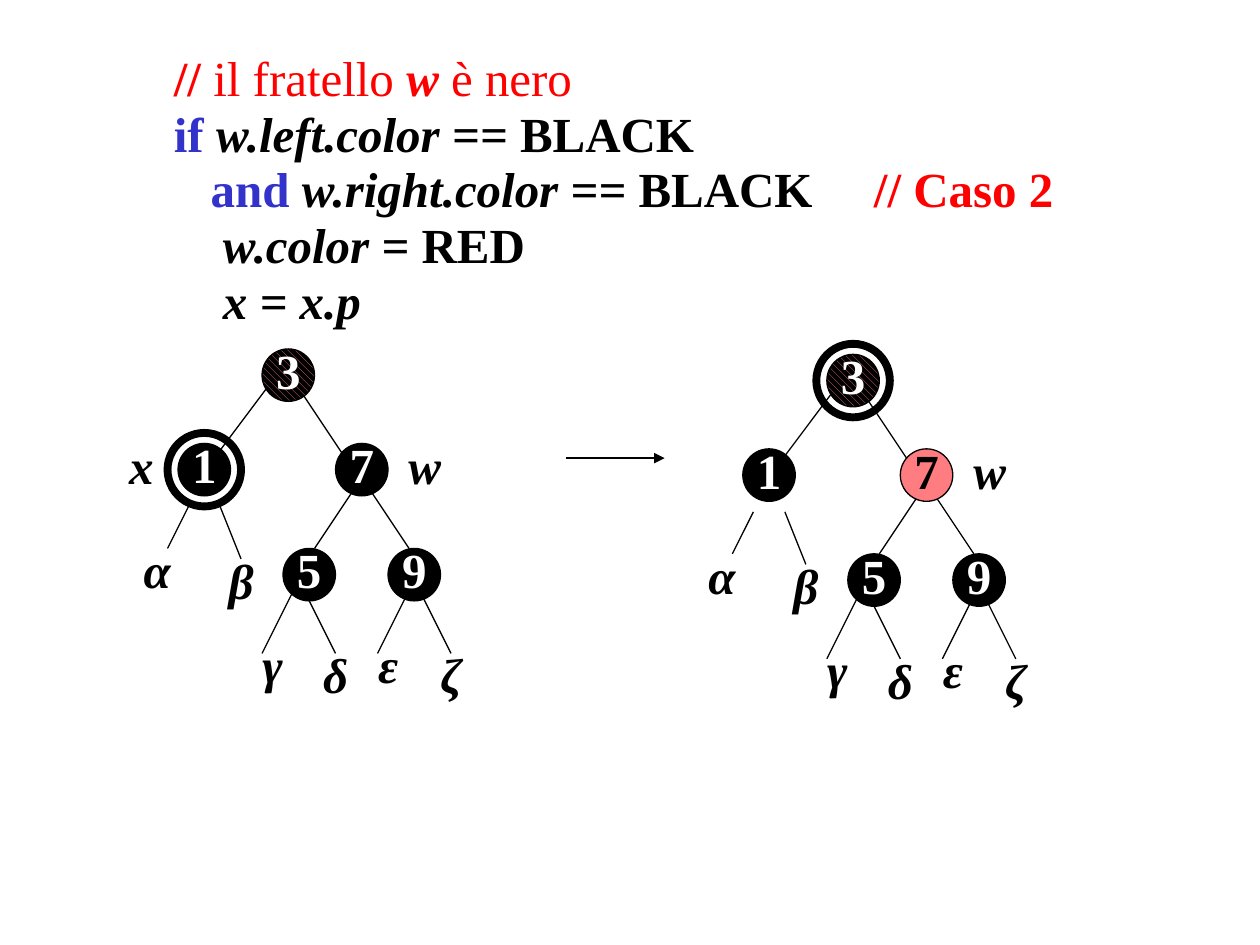
from lxml import etree
from pptx import Presentation
from pptx import util as u
from pptx.dml.color import RGBColor
from pptx.enum import dml, shapes, text
from pptx.oxml.ns import qn

Pt = u.Pt
BLACK, WHITE, RED, BLUE, PINK = "000000", "FFFFFF", "FF0000", "3333CC", "FF7C80"
STEP = 6  # the trees sit on a grid of 6 points
INDENT, COMMENT = 70, 470  # tab stops of the code

# Each line: first tab stop, then (text, format) spans
CODE = [
    (INDENT, [("// ", dict(color=RED)), ("il fratello ", dict(color=RED, bold=False)),
              ("w ", dict(color=RED, italic=True)), ("è nero", dict(color=RED, bold=False))]),
    (INDENT, [("if ", dict(color=BLUE)), ("w.left.color == ", dict(italic=True)), ("BLACK", {})]),
    (INDENT + 21, [("and ", dict(color=BLUE)), ("w.right.color == ", dict(italic=True)),
                   ("BLACK", {}), ("\t// Caso 2", dict(color=RED))]),
    (INDENT + 28, [("w.color = ", dict(italic=True)), ("RED", {})]),
    (INDENT + 28, [("x = x.p", dict(italic=True))]),
]

# Tree parts in grid steps
EDGES = [(16, 3, 10, 11), (18, 3, 24, 12), (8, 15, 6, 19), (11, 15, 13, 20),
         (24, 13, 20, 19), (25, 13, 29, 19), (18, 23, 15, 29), (19, 23, 22, 29),
         (29, 23, 26, 29), (30, 23, 33, 29)]
NODES = {"3": (15, 0), "1": (7, 9), "7": (22, 9), "5": (17, 19), "9": (27, 19)}
SUBTREES = {"α": (1, 18), "β": (9, 19), "γ": (12, 27), "δ": (18, 28),
            "ε": (23, 27), "ζ": (29, 28)}
POINTERS = {"x": (0, 8), "w": (27, 8)}


def rgb(color):
    return RGBColor.from_string(color)


def add_span(para, content, color=BLACK, bold=True, italic=False, size=28):
    span = para.add_run()
    span.text = content
    font = span.font
    font.name, font.size, font.bold, font.italic = "Times New Roman", Pt(size), bold, italic
    font.color.rgb = rgb(color)


def write_centred(shape, content, spacing=None, **style):
    frame = shape.text_frame
    frame.word_wrap = False
    frame.vertical_anchor = text.MSO_ANCHOR.MIDDLE
    para = frame.paragraphs[0]
    para.alignment = text.PP_ALIGN.CENTER
    para.line_spacing = spacing
    add_span(para, content, **style)


def set_tabs(para, stops):
    tabs = etree.SubElement(para._p.get_or_add_pPr(), qn("a:tabLst"))
    for stop in stops:
        etree.SubElement(tabs, qn("a:tab"), pos=str(Pt(stop)), algn="l")


def add_code(page):
    box = page.shapes.add_textbox(Pt(22.3), Pt(25.9), Pt(658), Pt(168.5))
    frame = box.text_frame
    frame.word_wrap = True
    frame.auto_size = text.MSO_AUTO_SIZE.SHAPE_TO_FIT_TEXT
    for number, (indent, spans) in enumerate(CODE):
        para = frame.add_paragraph() if number else frame.paragraphs[0]
        para.line_spacing = 0.95
        set_tabs(para, (indent, COMMENT))
        add_span(para, "\t")
        for content, style in spans:
            add_span(para, content, **style)


def add_line(parent, x1, y1, x2, y2, arrow=False):
    line = parent.shapes.add_connector(
        shapes.MSO_CONNECTOR.STRAIGHT, Pt(x1), Pt(y1), Pt(x2), Pt(y2))
    line.line.color.rgb = rgb(BLACK)
    line.line.width = Pt(0.75)
    if arrow:
        etree.SubElement(line.line._get_or_add_ln(), qn("a:tailEnd"), type="triangle")
    etree.SubElement(line._element.spPr, qn("a:effectLst"))


def add_circle(parent, x, y, size, width=0.75):
    circle = parent.shapes.add_shape(
        shapes.MSO_SHAPE.OVAL, Pt(x), Pt(y), Pt(size), Pt(size))
    circle.shadow.inherit = False
    circle.fill.background()
    circle.line.color.rgb = rgb(BLACK)
    circle.line.width = Pt(width)
    return circle


def add_node(parent, x, y, key, fill, color, hatched):
    node = add_circle(parent, x, y, 5 * STEP)
    if hatched:
        node.fill.patterned()
        node.fill.pattern = dml.MSO_PATTERN.WIDE_DOWNWARD_DIAGONAL
        node.fill.fore_color.rgb = rgb(PINK)
        node.fill.back_color.rgb = rgb(fill)
    else:
        node.fill.solid()
        node.fill.fore_color.rgb = rgb(fill)
    write_centred(node, key, spacing=0.8, color=color)


def add_label(parent, x, y, content, columns):
    box = parent.shapes.add_textbox(Pt(x), Pt(y), Pt(columns * STEP), Pt(6 * STEP))
    write_centred(box, content, italic=True)


def add_tree(page, left, top, current, pointers, red=""):
    """Draw the tree with a ring round the current node."""
    tree = page.shapes.add_group_shape()

    def place(column, row):
        return left + column * STEP, top + row * STEP

    for x1, y1, x2, y2 in EDGES:
        add_line(tree, *place(x1, y1), *place(x2, y2))
    for key, spot in NODES.items():
        fill, color = (PINK, BLACK) if key == red else (BLACK, WHITE)
        add_node(tree, *place(*spot), key, fill, color, hatched=key == "3")
    column, row = NODES[current]
    add_circle(tree, *place(column - 1, row - 1), 7 * STEP, width=4.5)
    for name in pointers:
        add_label(tree, *place(*POINTERS[name]), name, columns=7)
    for name, spot in SUBTREES.items():
        add_label(tree, *place(*spot), name, columns=8)


def main():
    deck = Presentation()
    deck.slide_width, deck.slide_height = Pt(720), Pt(540)
    page = deck.slides.add_slide(deck.slide_layouts[6])

    # Pseudocode
    add_code(page)

    # Before, arrow, after
    add_tree(page, 59.75, 199.4, current="1", pointers="xw")
    add_line(page, 323.2, 261.8, 379.8, 261.8, arrow=True)
    add_tree(page, 382.5, 202.5, current="3", pointers="w", red="7")

    deck.save("out.pptx")


if __name__ == "__main__":
    main()
